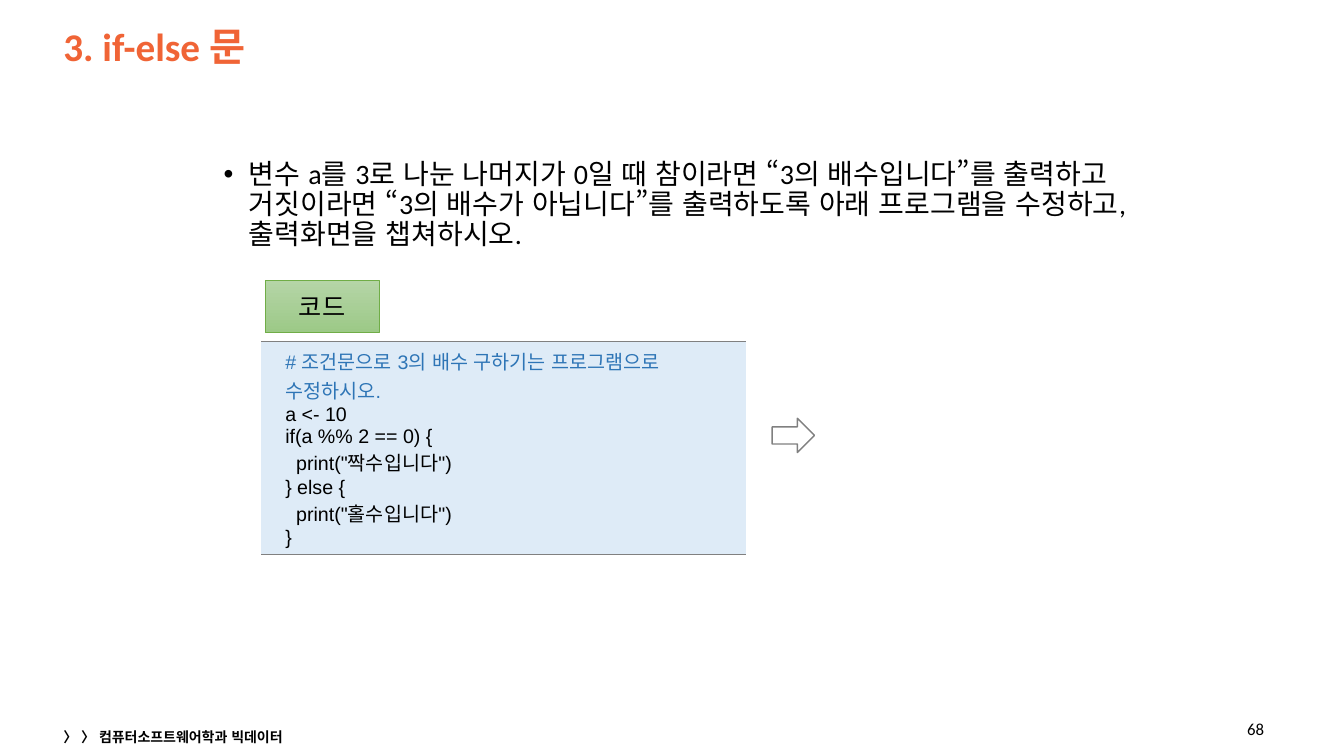
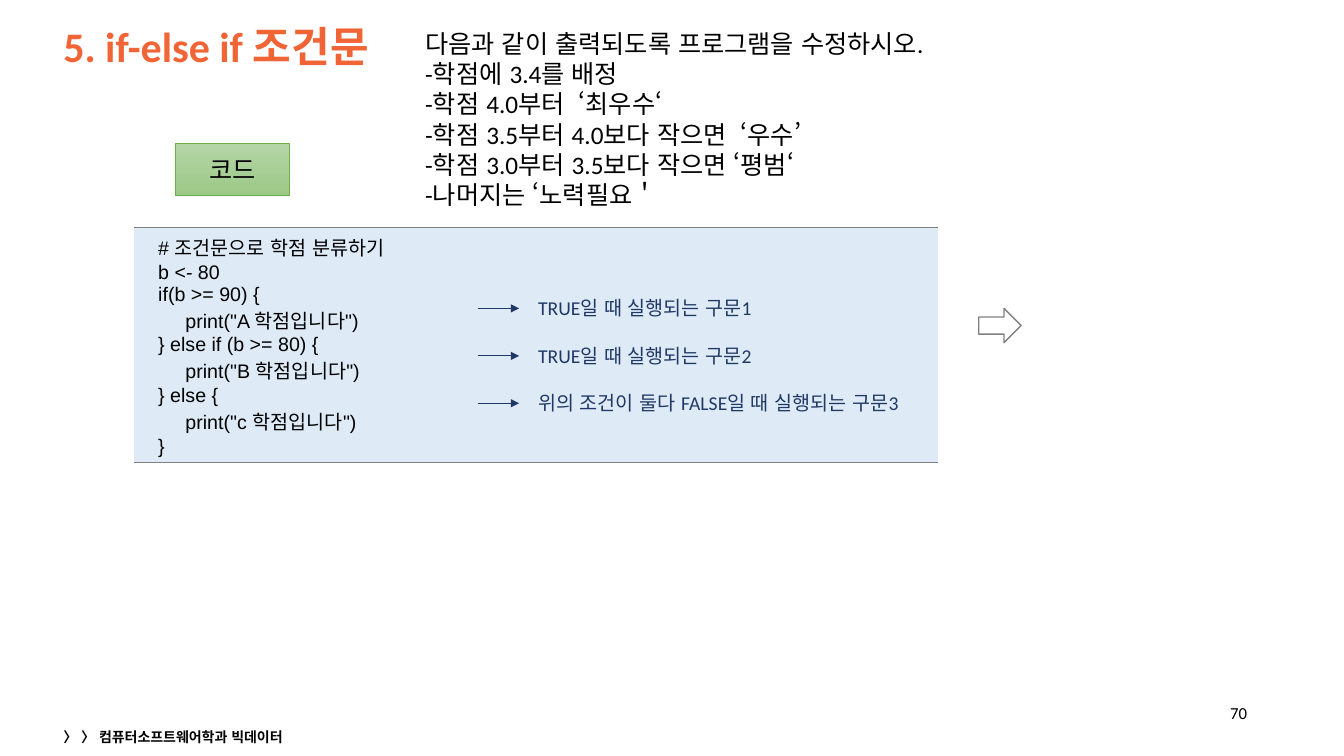
from dataclasses import dataclass

from lxml.etree import SubElement
from pptx import Presentation
from pptx.dml.color import RGBColor
from pptx.enum.lang import MSO_LANGUAGE_ID as Language
from pptx.enum.shapes import MSO_CONNECTOR as Connector, MSO_SHAPE as Preset
from pptx.enum.text import MSO_ANCHOR as Anchor, PP_ALIGN as Align
from pptx.oxml import parse_xml
from pptx.oxml.ns import nsdecls, qn
from pptx.slide import Slide
from pptx.text.text import TextFrame
from pptx.util import Emu, Inches, Pt

GRID = Inches(0.1)
COLUMNS, ROWS = 133.33, 75

ORANGE, BLACK, GRAY = "F06436", "000000", "808080"
NAVY, COMMENT_BLUE, PALE_BLUE = "203864", "2E75B6", "DEEBF7"
GREEN_TOP, GREEN_BOTTOM, GREEN_EDGE = "B5D5A7", "9CC987", "70AD47"
FOOTER = "〉 〉 컴퓨터소프트웨어학과 빅데이터"

TASK_IF_ELSE = (
    "변수 a를 3로 나눈 나머지가 0일 때 참이라면 “3의 배수입니다”를 출력하고 "
    "거짓이라면 “3의 배수가 아닙니다”를 출력하도록 아래 프로그램을 수정하고, "
    "출력화면을 챕쳐하시오."
)
CODE_IF_ELSE = """# 조건문으로 3의 배수 구하기는 프로그램으로 수정하시오.
a <- 10
if(a %% 2 == 0) {
  print("짝수입니다")
} else {
  print("홀수입니다")
}"""
TASK_GRADES = """다음과 같이 출력되도록 프로그램을 수정하시오.
-학점에 3.4를 배정
-학점 4.0부터  ‘최우수‘
-학점 3.5부터 4.0보다 작으면  ‘우수’
-학점 3.0부터 3.5보다 작으면 ‘평범‘
-나머지는 ‘노력필요＇"""
CODE_GRADES = """# 조건문으로 학점 분류하기
b <- 80
if(b >= 90) {
     print("A 학점입니다")
} else if (b >= 80) {
     print("B 학점입니다")
} else {
     print("c 학점입니다")
}"""
BRANCH_NOTES = (
    "TRUE일 때 실행되는 구문1",
    "TRUE일 때 실행되는 구문2",
    "위의 조건이 둘다 FALSE일 때 실행되는 구문3",
)


@dataclass(frozen=True)
class Area:
    left: float
    top: float
    width: float
    height: float

    def box(self) -> tuple[Emu, Emu, Emu, Emu]:
        return cells(self.left), cells(self.top), cells(self.width), cells(self.height)


@dataclass(frozen=True)
class Style:
    size: float
    color: str = BLACK
    bold: bool = False
    name: str = "Calibri"
    align: Align = Align.LEFT
    spacing: float = 1.0


@dataclass(frozen=True)
class Lesson:
    title: str
    title_size: float
    number: str
    number_area: Area
    badge: Area
    code: str
    code_area: Area
    comment_color: str
    arrow: Area


BODY = Style(20, spacing=0.9)
BADGE = Style(18, align=Align.CENTER)
NUMBER = Style(12, align=Align.RIGHT)
NOTE = Style(14, NAVY)

IF_ELSE = Lesson(
    "3. if-else 문", 28, "68", Area(122, 70.3, 4.4, 4), Area(26.3, 27.8, 11.3, 5.2),
    CODE_IF_ELSE, Area(25.9, 33.9, 48.1, 21.1), COMMENT_BLUE, Area(76.6, 41.5, 4.2, 3.4),
)
GRADES = Lesson(
    "5. if-else if 조건문", 30, "70", Area(120.3, 68.7, 4.4, 4), Area(17.4, 14.2, 11.3, 5.2),
    CODE_GRADES, Area(13.3, 22.6, 79.8, 23.3), BLACK, Area(97.1, 30.6, 4.2, 3.4),
)


def cells(count: float) -> Emu:
    return Emu(round(count * GRID))


def color(value: str) -> RGBColor:
    return RGBColor.from_string(value)


def write(frame: TextFrame, text: str, style: Style, first_color: str = "") -> None:
    for index, line in enumerate(text.split("\n")):
        para = frame.paragraphs[0] if index == 0 else frame.add_paragraph()
        span = para.add_run()
        span.text = line
        span.font.language_id = Language.KOREAN
        para.alignment = style.align
        para.line_spacing = style.spacing
        font = para.font
        font.name, font.size, font.bold = style.name, Pt(style.size), style.bold
        font.color.rgb = color(first_color if first_color and index == 0 else style.color)


def add_text(page: Slide, area: Area, text: str, style: Style,
             anchor: Anchor = Anchor.MIDDLE) -> None:
    frame = page.shapes.add_textbox(*area.box()).text_frame
    frame.word_wrap = True
    frame.vertical_anchor = anchor
    write(frame, text, style)


def add_bullet_text(page: Slide, area: Area, text: str) -> None:
    frame = page.shapes.add_textbox(*area.box()).text_frame
    frame.word_wrap = True
    props = frame.paragraphs[0]._p.get_or_add_pPr()
    props.set("marL", str(cells(2.5)))
    props.set("indent", str(-cells(2.5)))
    SubElement(props, qn("a:buFont")).set("typeface", "Arial")
    SubElement(props, qn("a:buChar")).set("char", "•")
    write(frame, text, BODY)


def add_badge(page: Slide, area: Area) -> None:
    badge = page.shapes.add_shape(Preset.RECTANGLE, *area.box())
    badge.shadow.inherit = False
    badge.fill.gradient()
    badge.fill.gradient_angle = 270
    for stop, tone in zip(badge.fill.gradient_stops, (GREEN_TOP, GREEN_BOTTOM)):
        stop.color.rgb = color(tone)
    badge.line.color.rgb = color(GREEN_EDGE)
    badge.line.width = Pt(0.5)
    badge.text_frame.vertical_anchor = Anchor.MIDDLE
    write(badge.text_frame, "코드", BADGE)


def add_block_arrow(page: Slide, area: Area) -> None:
    arrow = page.shapes.add_shape(Preset.RIGHT_ARROW, *area.box())
    arrow.shadow.inherit = False
    arrow.fill.background()
    arrow.line.color.rgb = color(GRAY)
    arrow.line.width = Pt(1)


def add_code(page: Slide, area: Area, code: str, comment_color: str) -> None:
    table = page.shapes.add_table(1, 1, *area.box()).table
    table.first_row = table.horz_banding = False
    cell = table.cell(0, 0)
    cell.margin_left = cells(2.4)
    cell.fill.solid()
    cell.fill.fore_color.rgb = color(PALE_BLUE)
    write(cell.text_frame, code, Style(14, name="Arial"), comment_color)
    solid = f'<a:solidFill><a:srgbClr val="{GRAY}"/></a:solidFill>'
    props = cell._tc.get_or_add_tcPr()
    for index, side in enumerate("LRTB"):
        paint = solid if side in "TB" else "<a:noFill/>"
        border = f'<a:ln{side} w="{Pt(1)}" {nsdecls("a")}>{paint}</a:ln{side}>'
        props.insert(index, parse_xml(border))


def add_pointer(page: Slide, left: float, right: float, row: float) -> None:
    pointer = page.shapes.add_connector(
        Connector.STRAIGHT, cells(left), cells(row), cells(right), cells(row))
    pointer.line.color.rgb = color(NAVY)
    pointer.line.width = Pt(0.5)
    props = pointer.element.spPr
    SubElement(props.find(qn("a:ln")), qn("a:tailEnd")).set("type", "triangle")
    SubElement(props, qn("a:effectLst"))


def add_lesson(deck: Presentation, lesson: Lesson) -> Slide:
    page = deck.slides.add_slide(deck.slide_layouts[6])
    title = Style(lesson.title_size, ORANGE, bold=True, spacing=0.9)
    add_text(page, Area(5.3, 1.2, 123.4, 7.3), lesson.title, title)
    add_text(page, Area(5.3, 71.9, 45, 2.4), FOOTER, Style(10, bold=True))
    add_text(page, lesson.number_area, lesson.number, NUMBER)
    add_code(page, lesson.code_area, lesson.code, lesson.comment_color)
    add_block_arrow(page, lesson.arrow)
    add_badge(page, lesson.badge)
    return page


def main() -> None:
    """Build the two lesson slides and save the deck."""
    deck = Presentation()
    deck.slide_width, deck.slide_height = cells(COLUMNS), cells(ROWS)

    page = add_lesson(deck, IF_ELSE)
    add_bullet_text(page, Area(21.2, 15.4, 100.2, 10), TASK_IF_ELSE)

    page = add_lesson(deck, GRADES)
    add_text(page, Area(41.2, 2.3, 55.5, 19.2), TASK_GRADES, Style(18), Anchor.TOP)
    for index, note in enumerate(BRANCH_NOTES):
        row = 30.6 + 4.7 * index
        add_pointer(page, 47.4, 51.5, row)
        add_text(page, Area(52.4, row - 1.7, 45, 3.4), note, NOTE, Anchor.TOP)

    deck.save("out.pptx")


if __name__ == "__main__":
    main()
